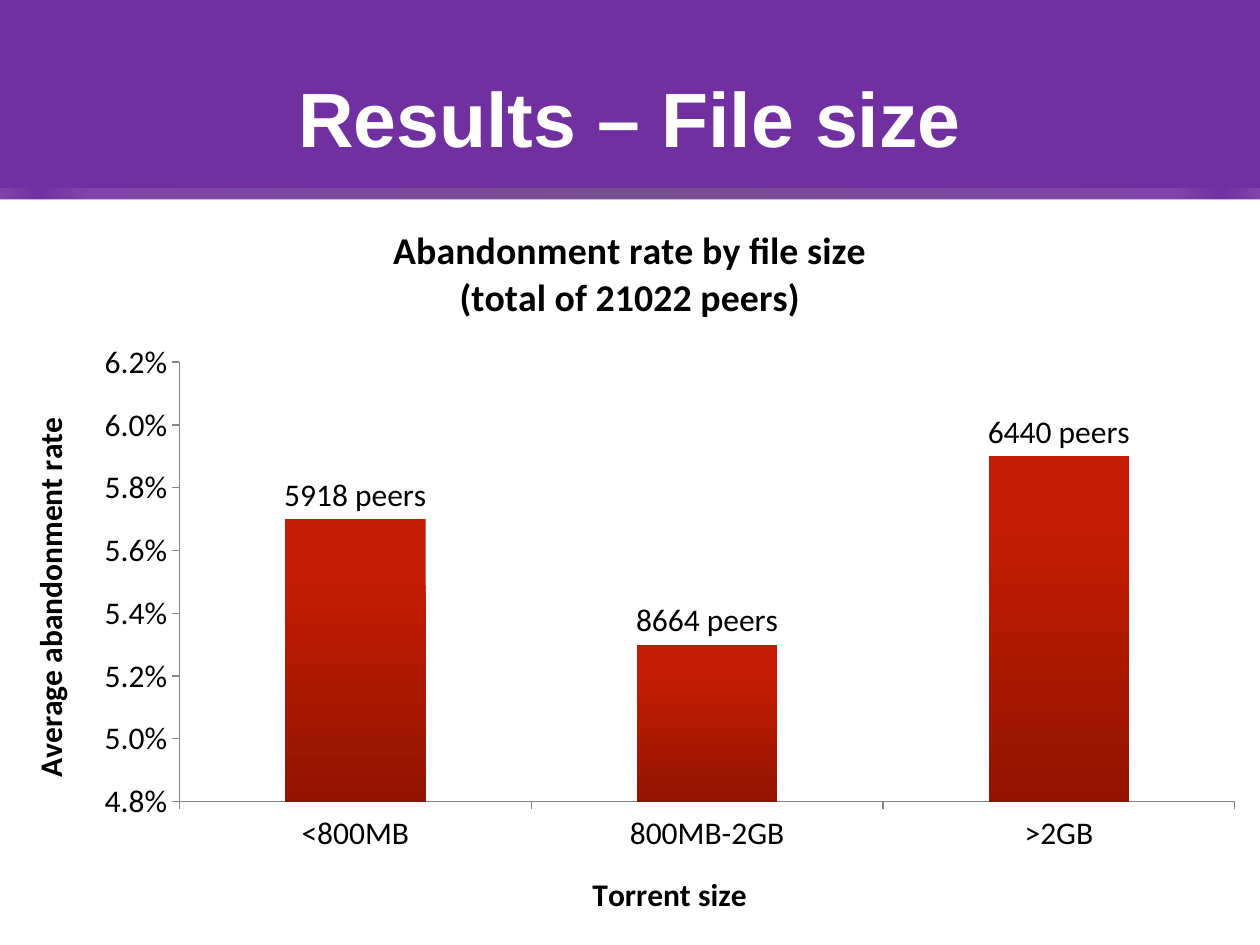
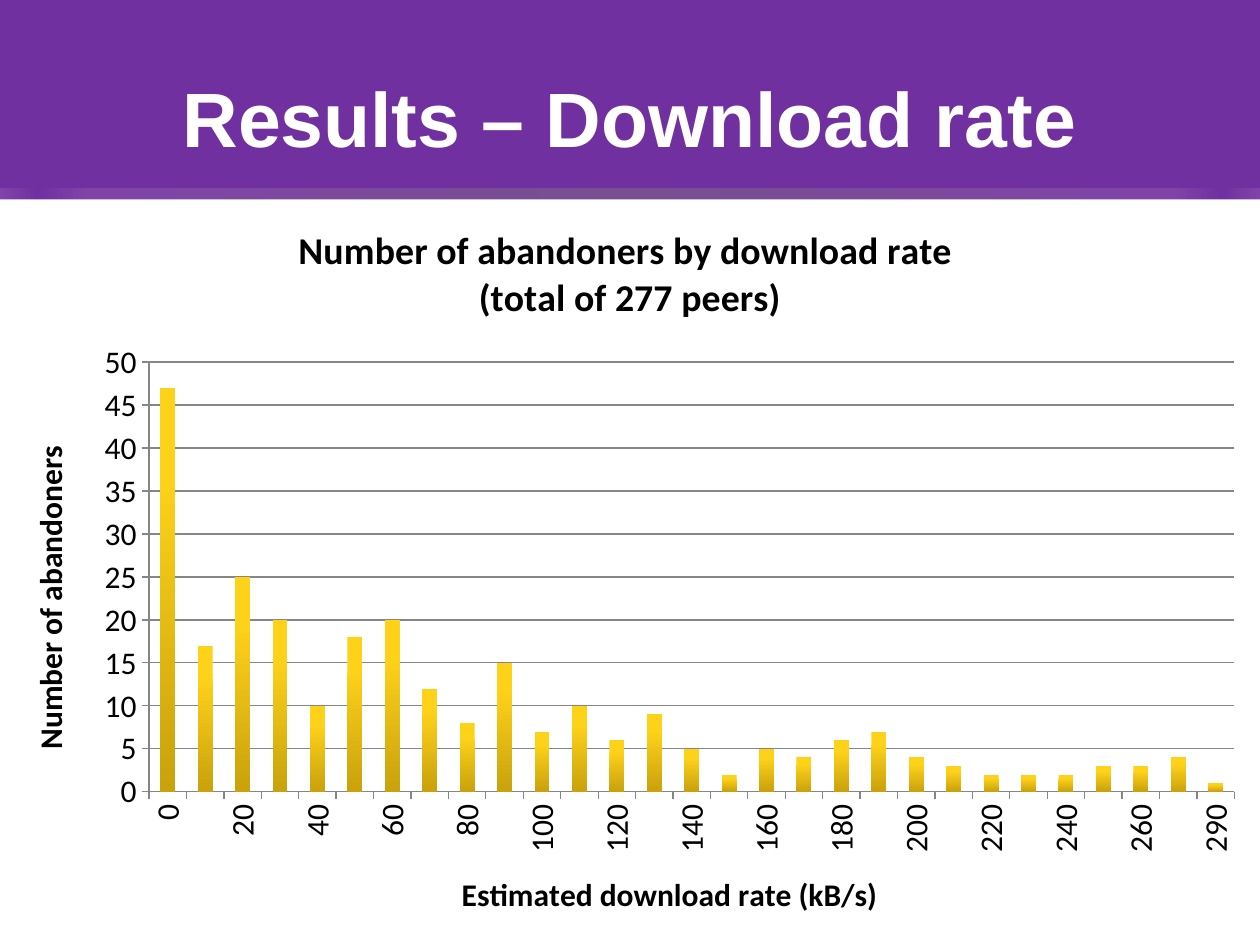
"""Builds two result slides, each with a purple title band and a column chart."""
from lxml.etree import SubElement
from pptx import Presentation
from pptx.chart.data import CategoryChartData as Data
from pptx.dml.color import RGBColor
from pptx.enum.chart import XL_CHART_TYPE as Kind, XL_LABEL_POSITION as Spot
from pptx.enum.chart import XL_TICK_MARK as Tick
from pptx.enum.shapes import MSO_SHAPE as Shape
from pptx.enum.text import MSO_ANCHOR as Anchor, PP_ALIGN as Align
from pptx.oxml.ns import qn
from pptx.util import Cm, Pt

WIDE, HIGH = 25.4, 19.05
STRIP, BODY = 3.8, 4.02
PURPLE, WHITE, BLACK, GREY = "7030A0", "FFFFFF", "000000", "868686"
LILAC, MAUVE = "8044A8", "784F90"
GLOW = [(0, LILAC), (3, PURPLE), (7, LILAC), (50, MAUVE),
        (93, LILAC), (97, PURPLE), (100, LILAC)]
RED, GOLD = ("C41C00", "921400"), ("FFD21A", "C9A20C")


def tint(code):
    return RGBColor.from_string(code)


def style(font, size, color, face, bold):
    font.size, font.name, font.bold = Pt(size), face, bold
    font.color.rgb = tint(color)


class Deck:
    def __init__(self):
        self.show = Presentation()
        self.show.slide_width, self.show.slide_height = Cm(WIDE), Cm(HIGH)

    def start(self, text):
        self.slide = self.show.slides.add_slide(self.show.slide_layouts[5])
        self.title(text)
        self.block(0, PURPLE)
        self.glow(self.block(STRIP, PURPLE))
        self.block(BODY, WHITE)

    def title(self, text):
        head = self.slide.shapes.title
        head.left, head.top, head.width, head.height = map(Cm, (1.27, 0.76, 22.86, 3.18))
        frame = head.text_frame
        frame.text, frame.vertical_anchor = text, Anchor.MIDDLE
        line = frame.paragraphs[0]
        line.alignment = Align.CENTER
        style(line.font, 44, WHITE, "Arial", True)

    def block(self, top, color):
        box = self.slide.shapes.add_shape(
            Shape.RECTANGLE, 0, Cm(top), Cm(WIDE), Cm(HIGH - top))
        box.shadow.inherit = False
        box.fill.solid()
        box.fill.fore_color.rgb = tint(color)
        box.line.fill.background()
        self.slide.shapes.title.element.addprevious(box.element)
        return box

    def glow(self, box):
        box.fill.gradient()
        box.fill.gradient_angle = 0
        stops = next(box.element.iter(qn("a:gsLst")))
        for old in list(stops):
            stops.remove(old)
        for place, color in GLOW:
            stop = SubElement(stops, qn("a:gs"), pos=str(place * 1000))
            SubElement(stop, qn("a:srgbClr"), val=color)

    def chart(self, head, names, cats, vals, shades, form="General"):
        data = Data(number_format=form)
        data.categories = cats
        data.add_series("Series 1", vals)
        chart = self.slide.shapes.add_chart(
            Kind.COLUMN_CLUSTERED, 0, Cm(BODY), Cm(WIDE), Cm(HIGH - BODY), data).chart
        style(chart.font, 18, BLACK, "Calibri", False)
        chart.has_legend = False
        self.label(chart.chart_title, head, 21.6)
        for axis, name in zip((chart.category_axis, chart.value_axis), names):
            self.axis(axis, name)
        chart.value_axis.tick_labels.number_format = form
        chart.value_axis.tick_labels.number_format_is_linked = False
        self.turn(chart, "c:valAx", "c:title")
        plot = chart.plots[0]
        plot.gap_width, plot.vary_by_categories = 150, False
        bars = plot.series[0]
        bars.invert_if_negative = False
        fill = bars.format.fill
        fill.gradient()
        fill.gradient_angle = 270
        for stop, color, place in zip(fill.gradient_stops, shades, (0.2, 1)):
            stop.color.rgb, stop.position = tint(color), place
        return chart

    def axis(self, axis, name):
        axis.has_major_gridlines = False
        axis.major_tick_mark, axis.minor_tick_mark = Tick.OUTSIDE, Tick.NONE
        style(axis.tick_labels.font, 18, BLACK, "Calibri", False)
        self.rule(axis.format.line)
        self.label(axis.axis_title, name, 18)

    def rule(self, line):
        line.color.rgb, line.width = tint(GREY), Pt(0.75)

    def label(self, title, text, size):
        title.text_frame.text = text
        for line in title.text_frame.paragraphs:
            style(line.font, size, BLACK, "Calibri", True)

    def turn(self, chart, axis, part):
        node = next(next(chart.element.iter(qn(axis))).iterchildren(qn(part)))
        body = next(node.iter(qn("a:bodyPr")))
        body.set("rot", "-5400000")
        body.set("vert", "horz")

    def scale(self, chart, low, high, step):
        axis = chart.value_axis
        axis.minimum_scale, axis.maximum_scale, axis.major_unit = low, high, step

    def grid(self, chart):
        chart.value_axis.has_major_gridlines = True
        self.rule(chart.value_axis.major_gridlines.format.line)

    def tags(self, chart, texts):
        bars = chart.plots[0].series[0]
        bars.data_labels.show_value = True
        bars.data_labels.position = Spot.OUTSIDE_END
        for spot, text in enumerate(texts):
            tag = bars.points[spot].data_label
            tag.text_frame.text = text
            tag.position = Spot.OUTSIDE_END
            style(tag.text_frame.paragraphs[0].font, 18, BLACK, "Calibri", False)


deck = Deck()

deck.start("Results – File size")
sizes = deck.chart(
    "Abandonment rate by file size\n(total of 21022 peers)",
    ("Torrent size", "Average abandonment rate"),
    ("<800MB", "800MB-2GB", ">2GB"), (0.057, 0.053, 0.059), RED, "0.0%")
deck.scale(sizes, 0.048, 0.062, 0.002)
deck.tags(sizes, [f"{count} peers" for count in (5918, 8664, 6440)])

deck.start("Results – Download rate")
rates = deck.chart(
    "Number of abandoners by download rate \n(total of 277 peers)",
    ("Estimated download rate (kB/s)", "Number of abandoners"),
    [str(rate) for rate in (*range(0, 280, 10), 290)],
    (47, 17, 25, 20, 10, 18, 20, 12, 8, 15, 7, 10, 6, 9, 5,
     2, 5, 4, 6, 7, 4, 3, 2, 2, 2, 3, 3, 4, 1), GOLD)
deck.scale(rates, 0, 50, 5)
deck.grid(rates)
deck.turn(rates, "c:catAx", "c:txPr")

deck.show.save("out.pptx")
